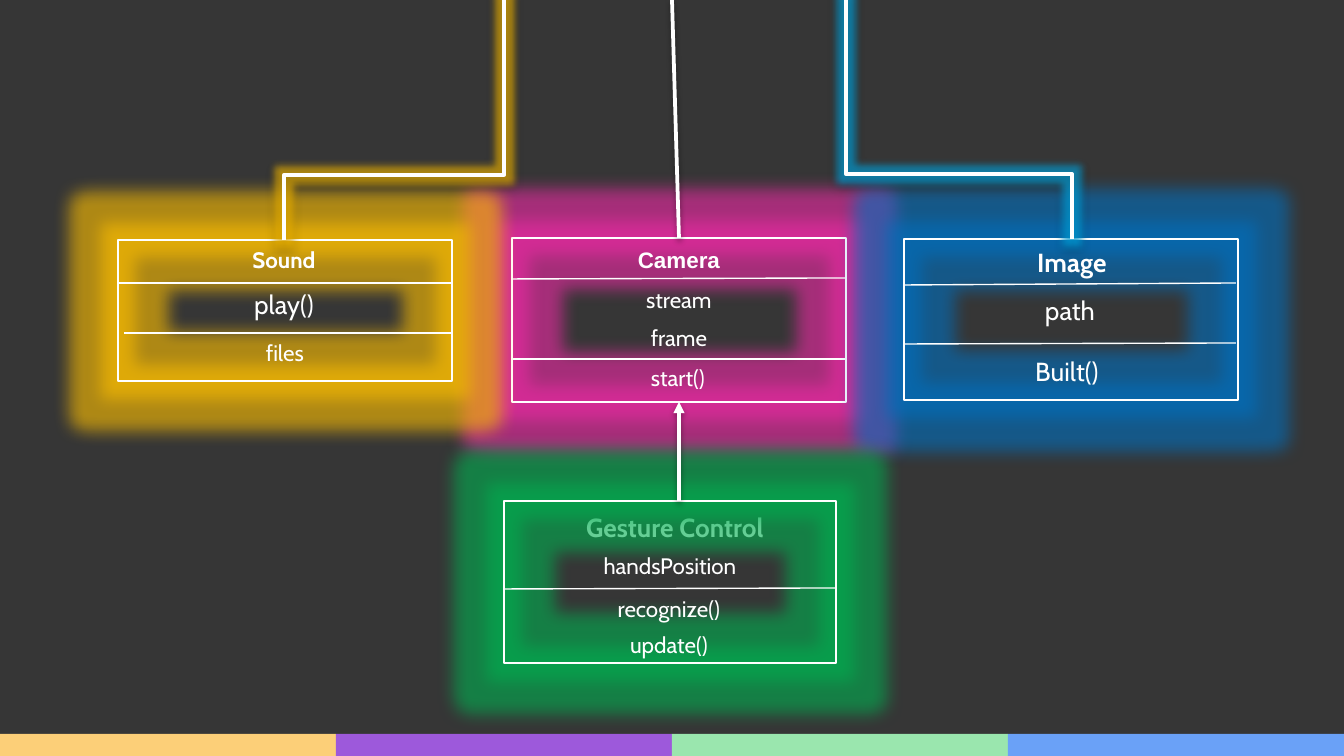
from dataclasses import dataclass

from lxml.etree import SubElement
from pptx import Presentation
from pptx.dml.color import RGBColor
from pptx.enum.shapes import MSO_CONNECTOR, MSO_SHAPE
from pptx.enum.text import MSO_AUTO_SIZE, PP_ALIGN
from pptx.oxml.ns import qn
from pptx.shapes.autoshape import Shape
from pptx.shapes.connector import Connector
from pptx.slide import Slide
from pptx.util import Emu, Pt

PX_PER_INCH = 134.4
WIDTH, HEIGHT = 1344, 756
WHITE = "FFFFFF"
BOX_GLOW, WIRE_GLOW = 18, 8  # points


@dataclass
class Row:
    text: str
    x: int
    y: int
    size: int = 12
    bold: bool = False
    font: str = "Cabin"
    behind: bool = False  # drawn under the glow of its card


@dataclass
class Divider:
    start: tuple[int, int]
    end: tuple[int, int]


@dataclass
class Card:
    x: int
    y: int
    width: int
    height: int
    glow: str
    rows: list[Row]
    dividers: list[Divider]


SOUND = Card(118, 240, 334, 141, "FFC000", [
    Row("Sound", 117, 240, bold=True),
    Row("play()", 117, 282, size=14),
    Row("files", 118, 333),
], [Divider((452, 283), (119, 283)), Divider((452, 333), (124, 333))])

CAMERA = Card(512, 238, 334, 164, "F02AA6", [
    Row("Camera", 512, 240, bold=True, font="Arial"),
    Row("stream", 512, 280),
    Row("frame", 512, 318),
    Row("start()", 511, 358),
], [Divider((846, 278), (513, 279)), Divider((846, 359), (511, 359))])

IMAGE = Card(904, 239, 334, 161, "0070C0", [
    Row("Image", 905, 240, size=14, bold=True),
    Row("path", 903, 288, size=14),
    Row("Built()", 900, 349, size=14),
], [Divider((1236, 283), (904, 285)), Divider((1236, 343), (904, 344))])

GESTURE = Card(504, 501, 332, 162, "00B050", [
    Row("Gesture Control", 509, 505, size=14, bold=True, behind=True),
    Row("handsPosition", 504, 546),
    Row("recognize()", 503, 589),
    Row("update()", 503, 625),
], [Divider((836, 588), (505, 589))])


def px(length: float) -> Emu:
    return Emu(round(length * 914400 / PX_PER_INCH))


def color(value: str) -> RGBColor:
    return RGBColor.from_string(value)


def add_effects(item: Shape | Connector, glow: str = "", radius: int = 0,
                shadow: bool = False) -> None:
    """Replace the theme effects with an optional glow and soft shadow."""
    properties = item._element.spPr
    for old in properties.findall(qn("a:effectLst")):
        properties.remove(old)
    effects = SubElement(properties, qn("a:effectLst"))
    if glow:
        halo = SubElement(effects, qn("a:glow"), rad=str(Pt(radius)))
        tint = SubElement(halo, qn("a:srgbClr"), val=glow)
        SubElement(tint, qn("a:alpha"), val="60000")
    if shadow:
        shade = SubElement(effects, qn("a:outerShdw"), blurRad=str(Pt(3.1)),
                           dist=str(Pt(1.6)), dir="5400000", rotWithShape="0")
        tint = SubElement(shade, qn("a:srgbClr"), val="000000")
        SubElement(tint, qn("a:alpha"), val="38000")


def add_line(page: Slide, start: tuple[float, float], end: tuple[float, float],
             weight: float = 0.75, kind: MSO_CONNECTOR = MSO_CONNECTOR.STRAIGHT) -> Connector:
    line = page.shapes.add_connector(kind, *map(px, (*start, *end)))
    line.line.color.rgb = color(WHITE)
    line.line.width = Pt(weight)
    return line


def add_elbow(page: Slide, start: tuple[int, int], end: tuple[int, int], glow: str) -> None:
    """Draw an elbow that leaves start upwards: a horizontal one, turned a quarter."""
    run, rise = end[0] - start[0], start[1] - end[1]
    center_x, center_y = (start[0] + end[0]) / 2, (start[1] + end[1]) / 2
    side = 1 if run > 0 else -1
    across, down = side * rise / 2, abs(run) / 2
    elbow = add_line(page, (center_x + across, center_y + down),
                     (center_x - across, center_y - down), 2, MSO_CONNECTOR.ELBOW)
    properties = elbow._element.spPr
    properties.find(qn("a:xfrm")).set("rot", str((90 if side > 0 else 270) * 60000))
    guides = properties.find(qn("a:prstGeom")).get_or_add_avLst()
    SubElement(guides, qn("a:gd"), name="adj1", fmla="val 27100")
    add_effects(elbow, glow, WIRE_GLOW, shadow=True)


def add_text(page: Slide, text: str, *, x: int, y: int, width: int, size: int,
             bold: bool, font: str) -> None:
    box = page.shapes.add_textbox(px(x), px(y), px(width), px(46 if size > 12 else 40))
    box.text_frame.word_wrap = True
    box.text_frame.auto_size = MSO_AUTO_SIZE.SHAPE_TO_FIT_TEXT
    para = box.text_frame.paragraphs[0]
    para.alignment = PP_ALIGN.CENTER
    span = para.add_run()
    span.text = text
    span.font.name = font
    span.font.size = Pt(size)
    span.font.bold = bold
    span.font.color.rgb = color(WHITE)


def add_rows(page: Slide, card: Card, behind: bool) -> None:
    for row in card.rows:
        if row.behind == behind:
            add_text(page, row.text, x=row.x, y=row.y, width=card.width,
                     size=row.size, bold=row.bold, font=row.font)


def add_card(page: Slide, card: Card) -> Shape:
    add_rows(page, card, behind=True)
    frame = page.shapes.add_shape(MSO_SHAPE.RECTANGLE, px(card.x), px(card.y),
                                  px(card.width), px(card.height))
    frame.fill.background()
    frame.line.color.rgb = color(WHITE)
    frame.line.width = Pt(0.75)
    add_effects(frame, card.glow, BOX_GLOW)
    add_rows(page, card, behind=False)
    for divider in card.dividers:
        add_effects(add_line(page, divider.start, divider.end))
    return frame


def add_footer(page: Slide) -> None:
    bar_width = WIDTH // 4
    for index, fill in enumerate(("FCCF78", "9D59DB", "9AE6AE", "6AA1F7")):
        bar = page.shapes.add_shape(MSO_SHAPE.RECTANGLE, px(index * bar_width), px(734),
                                    px(bar_width), px(HEIGHT - 734))
        bar.shadow.inherit = False
        bar.fill.solid()
        bar.fill.fore_color.rgb = color(fill)
        bar.line.fill.background()


def main() -> None:
    deck = Presentation()
    deck.slide_width, deck.slide_height = px(WIDTH), px(HEIGHT)
    page = deck.slides.add_slide(deck.slide_layouts[6])
    page.background.fill.solid()
    page.background.fill.fore_color.rgb = color("363636")

    add_footer(page)
    camera_frame, *_ = [add_card(page, card) for card in (CAMERA, IMAGE, SOUND, GESTURE)]

    add_elbow(page, (284, 240), (504, 0), "FFC000")
    camera_wire = add_line(page, (679, 238), (672, 0), 2)
    camera_wire.begin_connect(camera_frame, 0)
    add_effects(camera_wire, shadow=True)
    add_elbow(page, (1072, 239), (846, 0), "00B0F0")

    arrow = add_line(page, (679, 501), (679, 402), 2)
    arrow.end_connect(camera_frame, 2)
    SubElement(arrow.line._get_or_add_ln(), qn("a:tailEnd"), type="triangle")
    add_effects(arrow, shadow=True)

    deck.save("out.pptx")


if __name__ == "__main__":
    main()
